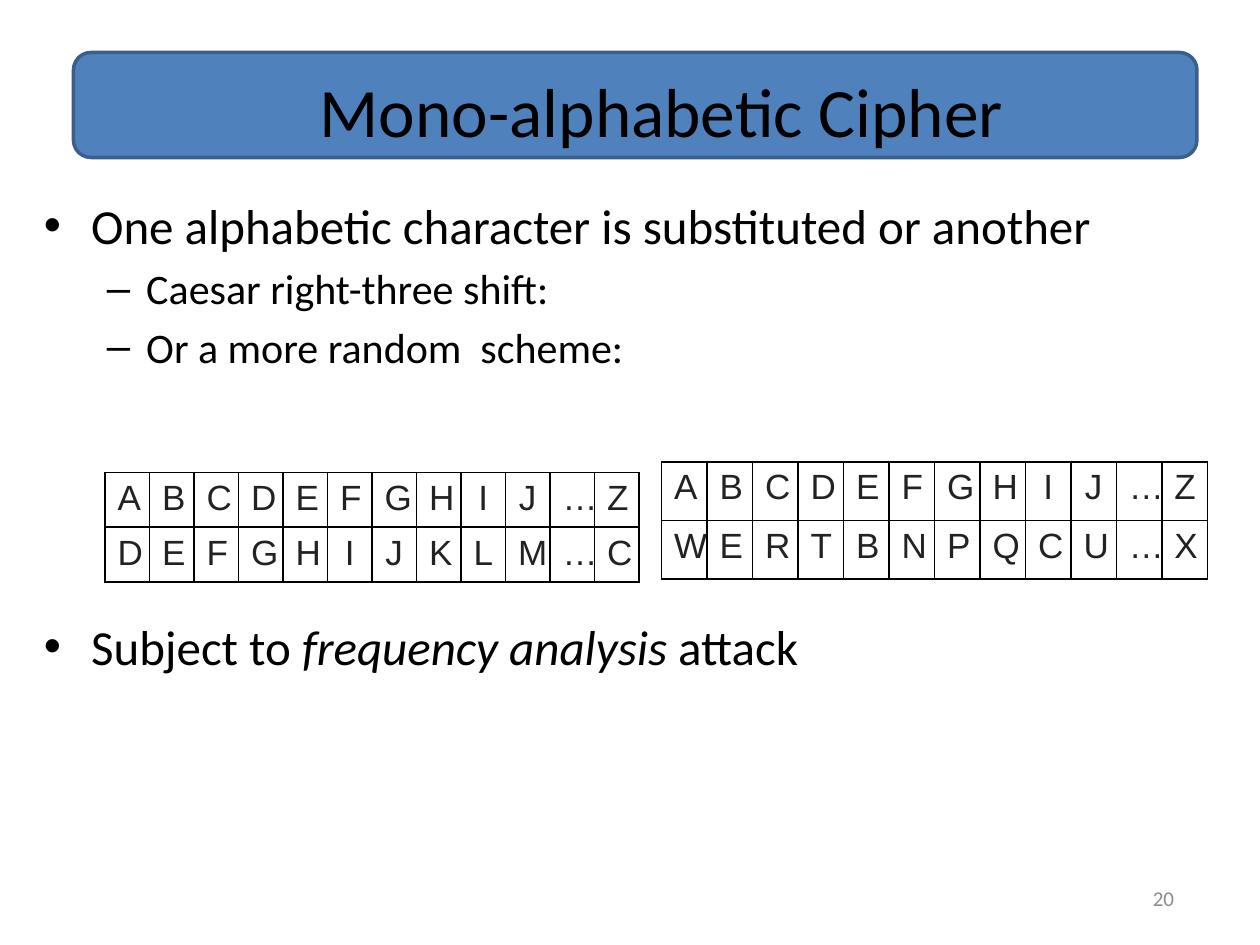
from lxml.etree import SubElement
from pptx import Presentation
from pptx.dml.color import RGBColor
from pptx.enum.shapes import MSO_SHAPE
from pptx.enum.text import MSO_ANCHOR, MSO_AUTO_SIZE, PP_ALIGN
from pptx.oxml.ns import qn
from pptx.util import Pt

BLACK = "000000"
LETTER_INDENT = 27
# level: (text size, left margin, hanging indent, bullet)
OUTLINE = {0: (28, 27, 27, "•"), 1: (24, 58.5, 22.5, "–")}


def color(hex_string):
    return RGBColor.from_string(hex_string)


def set_indent(paragraph, margin, hanging):
    properties = paragraph._p.get_or_add_pPr()
    properties.set("marL", str(Pt(margin)))
    properties.set("indent", str(-Pt(hanging)))
    return properties


def add_run(paragraph, text, size, font="Calibri", hex_string=BLACK, italic=False):
    run = paragraph.add_run()
    run.text = text
    run.font.size = Pt(size)
    run.font.name = font
    run.font.italic = italic
    run.font.color.rgb = color(hex_string)


def add_title(slide, text, left, top, width, height):
    """Place the title over a rounded banner that fills the given box."""
    banner = slide.shapes.add_shape(
        MSO_SHAPE.ROUNDED_RECTANGLE, Pt(left), Pt(top), Pt(width), Pt(height))
    banner.shadow.inherit = False
    banner.fill.solid()
    banner.fill.fore_color.rgb = color("4F81BD")
    banner.line.color.rgb = color("3A5F8C")
    banner.line.width = Pt(2)

    title = slide.shapes.title
    title._element.addprevious(banner._element)
    title.left, title.top = Pt(left + 36), Pt(top + 6)
    title.width, title.height = Pt(width - 42), Pt(height - 6)
    frame = title.text_frame
    frame.auto_size = MSO_AUTO_SIZE.NONE
    frame.vertical_anchor = MSO_ANCHOR.MIDDLE
    paragraph = frame.paragraphs[0]
    paragraph.alignment = PP_ALIGN.CENTER
    add_run(paragraph, text, 39.6)


def add_outline(slide, points, left, top, width, height):
    """Each point is (level, space before, [(text, italic), ...])."""
    frame = slide.shapes.add_textbox(
        Pt(left), Pt(top), Pt(width), Pt(height)).text_frame
    frame.word_wrap = True
    for index, (level, space_before, pieces) in enumerate(points):
        paragraph = frame.add_paragraph() if index else frame.paragraphs[0]
        size, margin, hanging, bullet = OUTLINE[level]
        properties = set_indent(paragraph, margin, hanging)
        SubElement(properties, qn("a:buFont")).set("typeface", "Arial")
        SubElement(properties, qn("a:buChar")).set("char", bullet)
        paragraph.level = level
        paragraph.space_before = Pt(space_before)
        for text, italic in pieces:
            add_run(paragraph, text, size, italic=italic)


def add_cell_borders(cell):
    properties = cell._tc.get_or_add_tcPr()
    for position, side in enumerate(("lnL", "lnR", "lnT", "lnB")):
        border = SubElement(properties, qn(f"a:{side}"))
        border.set("w", str(Pt(1)))
        fill = SubElement(border, qn("a:solidFill"))
        SubElement(fill, qn("a:srgbClr")).set("val", BLACK)
        properties.insert(position, border)


def add_cipher_table(slide, plain, cipher, left, top, width, height):
    alphabets = (plain, cipher)
    table = slide.shapes.add_table(
        len(alphabets), len(plain), Pt(left), Pt(top), Pt(width), Pt(height)).table
    table.first_row = table.horz_banding = False
    for column in table.columns:
        column.width = Pt(width / len(plain))
    for row, letters in zip(table.rows, alphabets):
        row.height = Pt(height / len(alphabets))
        for cell, letter in zip(row.cells, letters):
            cell.fill.background()
            add_cell_borders(cell)
            paragraph = cell.text_frame.paragraphs[0]
            set_indent(paragraph, LETTER_INDENT, LETTER_INDENT)
            paragraph.alignment = PP_ALIGN.CENTER
            add_run(paragraph, letter, 20, "Arial", "222222")


def add_page_number(slide, number, left, top, width, height):
    frame = slide.shapes.add_textbox(
        Pt(left), Pt(top), Pt(width), Pt(height)).text_frame
    frame.word_wrap = True
    frame.vertical_anchor = MSO_ANCHOR.MIDDLE
    paragraph = frame.paragraphs[0]
    paragraph.alignment = PP_ALIGN.RIGHT
    add_run(paragraph, number, 12, hex_string="8C8C8C")


def main():
    presentation = Presentation()
    presentation.slide_width, presentation.slide_height = Pt(720), Pt(540)
    slide = presentation.slides.add_slide(presentation.slide_layouts[5])

    add_title(slide, "Mono-alphabetic Cipher", 42, 30, 642, 60)
    add_outline(slide, [
        (0, 0, [("One alphabetic character is substituted or another", False)]),
        (1, 4.8, [("Caesar right-three shift:", False)]),
        (1, 4.8, [("Or a more random  scheme:", False)]),
        (0, 140, [("Subject to ", False), ("frequency analysis", True),
                  (" attack", False)]),
    ], 18, 108, 684, 324)
    plain = "ABCDEFGHIJ…Z"
    add_cipher_table(slide, plain, "DEFGHIJKLM…C", 60, 270, 305.4, 60.4)
    add_cipher_table(slide, plain, "WERTBNPQCU…X", 378, 264, 312, 67)
    add_page_number(slide, "20", 516, 498, 162, 30)

    presentation.save("out.pptx")


if __name__ == "__main__":
    main()
